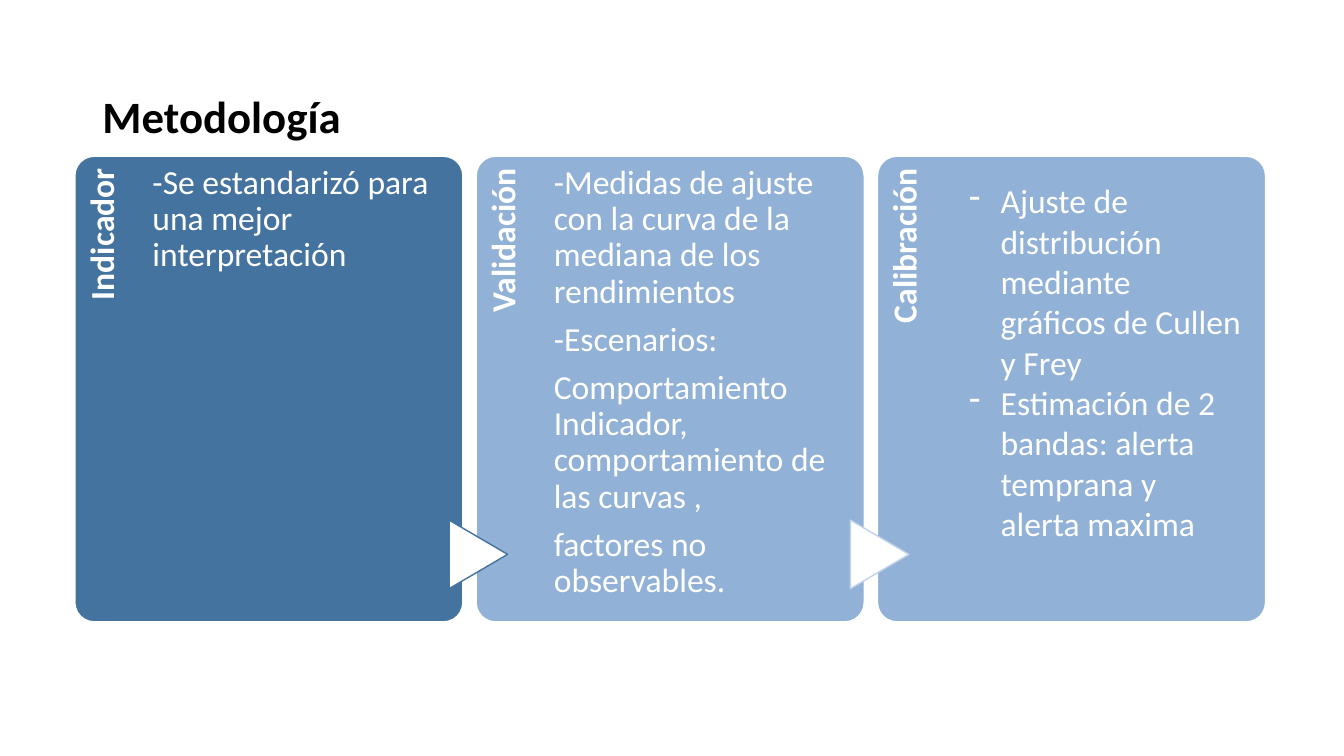
from lxml.etree import SubElement
from pptx import Presentation
from pptx.dml.color import RGBColor
from pptx.enum.shapes import MSO_SHAPE as Shape
from pptx.enum.text import MSO_ANCHOR as Anchor, MSO_AUTO_SIZE as AutoSize, PP_ALIGN as Align
from pptx.oxml.ns import qn
from pptx.util import Pt

BLACK = RGBColor(0x00, 0x00, 0x00)
WHITE = RGBColor(0xFF, 0xFF, 0xFF)
DARK_BLUE = RGBColor(0x43, 0x73, 0x9E)
LIGHT_BLUE = RGBColor(0x91, 0xB1, 0xD6)
PALE_BLUE = RGBColor(0xC0, 0xD2, 0xEA)

PANEL_FORMAT = {"line_spacing": 0.9, "space_after": Pt(8.4)}
LABEL_FORMAT = {**PANEL_FORMAT, "alignment": Align.RIGHT}
PANEL_INSETS = (0, 6.5, 0, 0)
LABEL_INSETS = (0, 6.5, 8.6, 0)
LIST_INSETS = (7.2, 3.6, 7.2, 3.6)

STEPS = [
    ("Indicador", DARK_BLUE, ["-Se estandarizó para una mejor interpretación"]),
    ("Validación", LIGHT_BLUE, [
        "-Medidas de ajuste con la curva de la mediana de los rendimientos",
        "-Escenarios:",
        "Comportamiento Indicador, comportamiento de las curvas ,",
        "factores no observables.",
    ]),
    ("Calibración", LIGHT_BLUE, []),
]
CALIBRATION = [
    "Ajuste de distribución mediante gráficos de Cullen y Frey",
    "Estimación de 2 bandas: alerta temprana y alerta maxima",
]
ARROW_LINES = [DARK_BLUE, PALE_BLUE]


def apply(target, values):
    """Set each named attribute on the target."""
    for name, value in values.items():
        setattr(target, name, value)


def add_span(para, text, size, color, bold=False):
    """Append formatted text to a paragraph."""
    span = para.add_run()
    span.text = text
    apply(span.font, {"name": "Calibri", "size": Pt(size), "bold": bold})
    span.font.color.rgb = color


def add_text(page, box, lines, insets, para_format, bold=False):
    """Add a wrapped white text box and return it."""
    holder = page.shapes.add_textbox(*map(Pt, box))
    frame = holder.text_frame
    sides = ("margin_left", "margin_top", "margin_right", "margin_bottom")
    apply(frame, dict(zip(sides, map(Pt, insets))))
    apply(frame, {"word_wrap": True, "vertical_anchor": Anchor.TOP})
    for index, line in enumerate(lines):
        para = frame.add_paragraph() if index else frame.paragraphs[0]
        apply(para, para_format)
        add_span(para, line, 24, WHITE, bold)
    return holder


def add_block(page, kind, box, fill, line):
    """Add a flat filled shape with a thin outline."""
    block = page.shapes.add_shape(kind, *map(Pt, box))
    block.shadow.inherit = False
    block.fill.solid()
    block.fill.fore_color.rgb = fill
    block.line.color.rgb = line
    block.line.width = Pt(1)
    return block


def add_title(page, box):
    """Place the slide title."""
    title = page.shapes.title
    apply(title, dict(zip(("left", "top", "width", "height"), map(Pt, box))))
    apply(title.text_frame, {"auto_size": AutoSize.NONE, "word_wrap": True,
                             "vertical_anchor": Anchor.MIDDLE})
    para = title.text_frame.paragraphs[0]
    apply(para, {"alignment": Align.LEFT, "line_spacing": 0.9})
    add_span(para, "Metodología", 32, BLACK, bold=True)
    add_span(para, " ", 44, BLACK)


def add_panel(page, box, label, fill, lines):
    """Add a rounded panel with its sideways label and its text."""
    left, top, width, height = box
    panel = add_block(page, Shape.ROUNDED_RECTANGLE, box, fill, WHITE)
    panel.adjustments[0] = 0.05
    length, depth = height * 0.82, width * 0.2
    label_box = (left + (depth - length) / 2 + 0.7, top + (length - depth) / 2, length, depth)
    add_text(page, label_box, [label], LABEL_INSETS, LABEL_FORMAT, bold=True).rotation = 270
    if lines:
        text_box = (left + depth, top, width * 0.745, height)
        add_text(page, text_box, lines, PANEL_INSETS, PANEL_FORMAT)


def add_arrow(page, center_x, center_y, line):
    """Add a white triangle pointing right around a centre."""
    width, height = 49, 41.8
    box = (center_x - width / 2, center_y - height / 2, width, height)
    add_block(page, Shape.FLOWCHART_EXTRACT, box, WHITE, line).rotation = 90


def add_dash_list(page, box, lines):
    """Add a list with hanging dashes."""
    holder = add_text(page, box, lines, LIST_INSETS, {})
    for para in holder.text_frame.paragraphs:
        properties = para._p.get_or_add_pPr()
        properties.set("marL", str(Pt(22.5)))
        properties.set("indent", str(-Pt(22.5)))
        SubElement(properties, qn("a:buChar")).set("char", "-")


def add_process(page, box):
    """Lay out the three steps and the arrows between them."""
    left, top, width, height = box
    gap = 9.5
    panel_width = (width - gap * (len(STEPS) - 1)) / len(STEPS)
    lefts = [left + index * (panel_width + gap) for index in range(len(STEPS))]
    for panel_left, step in zip(lefts, STEPS):
        add_panel(page, (panel_left, top, panel_width, height), *step)
    for panel_left, line in zip(lefts[1:], ARROW_LINES):
        add_arrow(page, panel_left + 1.5, top + height * 0.855, line)
    add_dash_list(page, (lefts[-1] + 58.3, top + 13.7, 209.5, 298), CALIBRATION)


def main():
    """Build and save the deck."""
    deck = Presentation()
    apply(deck, {"slide_width": Pt(960), "slide_height": Pt(540)})
    page = deck.slides.add_slide(deck.slide_layouts[5])
    add_title(page, (66, 28.8, 828, 104.4))
    add_process(page, (53.5, 111.6, 850.5, 332.6))
    deck.save("out.pptx")


if __name__ == "__main__":
    main()
